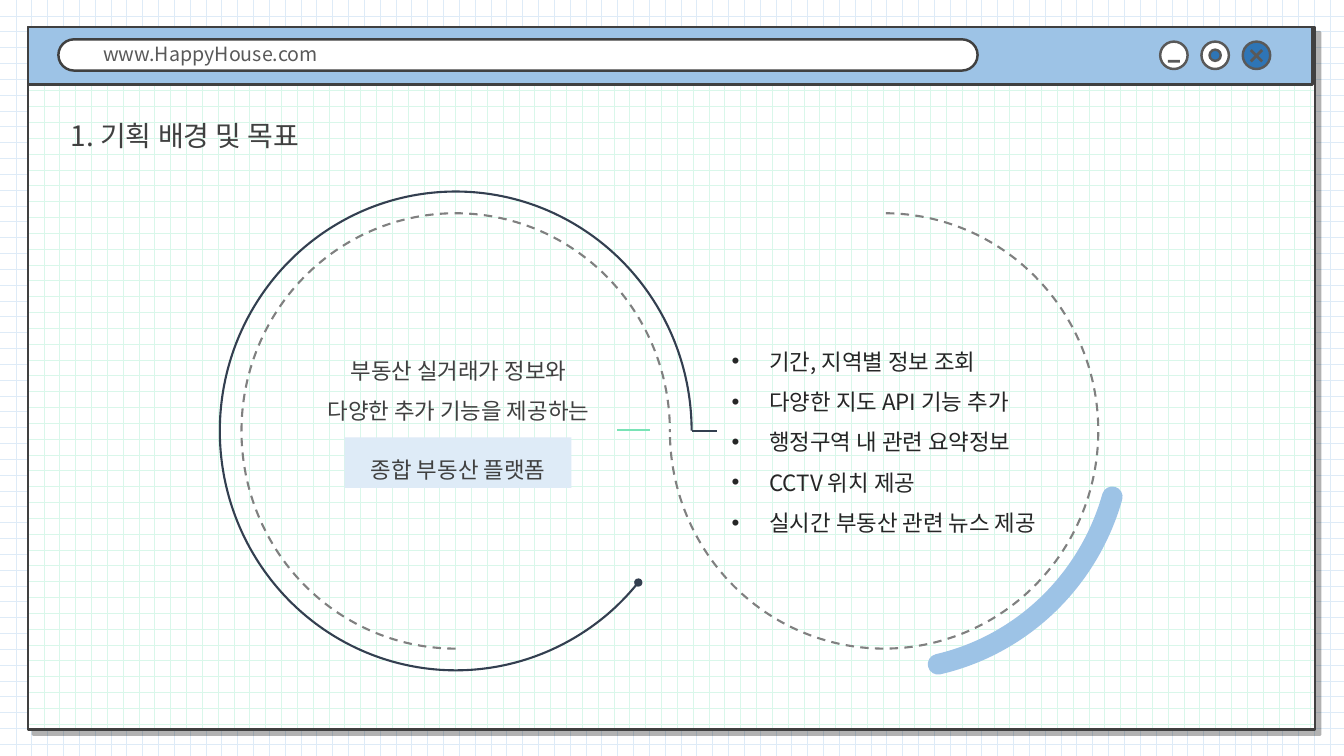
from lxml import etree
from pptx import Presentation
from pptx.dml.color import RGBColor
from pptx.enum.dml import MSO_LINE, MSO_PATTERN
from pptx.enum.shapes import MSO_CONNECTOR, MSO_SHAPE
from pptx.enum.text import MSO_ANCHOR, MSO_AUTO_SIZE, PP_ALIGN
from pptx.oxml.ns import qn
from pptx.util import Pt

RECT, PILL = MSO_SHAPE.RECTANGLE, MSO_SHAPE.ROUNDED_RECTANGLE
OVAL, ARC = MSO_SHAPE.OVAL, MSO_SHAPE.ARC
STRAIGHT = MSO_CONNECTOR.STRAIGHT
DASH, GRID = MSO_LINE.DASH, MSO_PATTERN.DOTTED_GRID
LEFT, CENTER = PP_ALIGN.LEFT, PP_ALIGN.CENTER
TOP, MIDDLE = MSO_ANCHOR.TOP, MSO_ANCHOR.MIDDLE
GROW, FIXED = MSO_AUTO_SIZE.SHAPE_TO_FIT_TEXT, MSO_AUTO_SIZE.NONE
FONT = "Noto Sans CJK KR"
DARK, GRAY, WHITE = "404040", "595959", "FFFFFF"
SKY, PALE, BLUE, NAVY = "9DC3E6", "DEEBF7", "2E75B6", "333F50"


def rgb(color):
    return RGBColor.from_string(color)


def add_xml(parent, tag, **attrs):
    return etree.SubElement(parent, qn(tag), **attrs)


def set_grid(fill, color):
    fill.patterned()
    fill.pattern = GRID
    fill.fore_color.rgb = rgb(color)
    fill.back_color.rgb = rgb(WHITE)


def set_line(line, color, width):
    line.color.rgb = rgb(color)
    line.width = Pt(width)


def add_shape(s, kind, x, y, w, h, fill=None, line=None, width=1.75):
    sp = s.shapes.add_shape(kind, Pt(x), Pt(y), Pt(w), Pt(h))
    sp.shadow.inherit = False
    if fill:
        sp.fill.solid()
        sp.fill.fore_color.rgb = rgb(fill)
    else:
        sp.fill.background()
    if line:
        set_line(sp.line, line, width)
    else:
        sp.line.fill.background()
    return sp


def add_centered(s, kind, cx, cy, w, h, **style):
    return add_shape(s, kind, cx - w / 2, cy - h / 2, w, h, **style)


def add_line(s, x1, x2, y, color):
    cn = s.shapes.add_connector(STRAIGHT, Pt(x1), Pt(y), Pt(x2), Pt(y))
    set_line(cn.line, color, 1.5)
    add_xml(cn.element.spPr, "a:effectLst")


def add_arc(s, cx, cy, w, h, start, end, color, width):
    sp = add_centered(s, ARC, cx, cy, w, h, line=color, width=width)
    sp.adjustments[0] = start * 0.6
    sp.adjustments[1] = end * 0.6
    return sp


def write(sp, text, size=16, color=DARK, align=LEFT, spacing=1.5,
          anchor=TOP, auto_size=GROW, indent=0, bullet=None):
    tf = sp.text_frame
    tf.word_wrap = True
    tf.auto_size = auto_size
    tf.vertical_anchor = anchor
    tf.text = text
    for p in tf.paragraphs:
        pPr = p._p.get_or_add_pPr()
        if indent:
            pPr.set("marL", str(Pt(indent)))
        if bullet:
            pPr.set("indent", str(-Pt(indent)))
            add_xml(pPr, "a:buFont", typeface="Arial")
            add_xml(pPr, "a:buChar", char=bullet)
        p.alignment = align
        p.line_spacing = spacing
        p.space_before = Pt(0)
        for r in p.runs:
            r.font.size = Pt(size)
            r.font.color.rgb = rgb(color)
            r.font.name = FONT
            add_xml(r.font._element, "a:ea", typeface=FONT)


def add_text(s, x, y, w, h, text, **style):
    write(s.shapes.add_textbox(Pt(x), Pt(y), Pt(w), Pt(h)), text, **style)


def add_browser(s, x, y, w, h):
    window = add_shape(s, RECT, x, y, w, h, line=DARK)
    set_grid(window.fill, "D9F7EA")
    effects = window.element.spPr.find(qn("a:effectLst"))
    shadow = add_xml(effects, "a:outerShdw", blurRad="0", dist=str(Pt(5)),
                     dir="2700000", algn="tl", rotWithShape="0")
    black = add_xml(shadow, "a:srgbClr", val="000000")
    add_xml(black, "a:alpha", val="30000")

    add_shape(s, RECT, x, y, w - 2, 41, fill=SKY, line=DARK)
    address = add_shape(s, PILL, x + 21.7, y + 8.6, 656.6, 22.3, fill=WHITE, line=DARK)
    address.adjustments[0] = 0.5
    address.text_frame.margin_bottom = Pt(5.8)
    write(address, "www.HappyHouse.com", size=14, color=GRAY, spacing=1,
          anchor=MIDDLE, auto_size=FIXED, indent=21.6)

    cy = y + 20
    minimize, maximize, close = [x + 818.5 + 29.5 * i for i in range(3)]
    for cx, fill in ((minimize, WHITE), (maximize, WHITE), (close, BLUE)):
        add_centered(s, OVAL, cx, cy, 19.6, 19.6, fill=fill, line=GRAY)
    add_centered(s, OVAL, maximize, cy, 8, 8, fill=BLUE, line=GRAY)
    add_centered(s, RECT, minimize, cy + 4.2, 8.6, 2, fill=GRAY)
    for angle in (45, 315):
        add_centered(s, RECT, close, cy + 0.3, 11.5, 2, fill=GRAY).rotation = angle


def add_title(s, x, y, w, h):
    title = s.shapes.title
    title.left, title.top, title.width, title.height = Pt(x), Pt(y), Pt(w), Pt(h)
    title.element.getparent().append(title.element)
    write(title, "1. 기획 배경 및 목표", size=20)


def add_rings(s, x, y, w, h):
    inner_w, inner_h = 306, 311
    outer_w = w - inner_w
    left, cy = x + outer_w / 2, y + h / 2
    right = left + inner_w
    for cx, start, end in ((left, 90, 0.3), (right, 270.5, 180.2)):
        dashed = add_arc(s, cx, cy, inner_w, inner_h, start, end, "808080", 1.5)
        dashed.line.dash_style = DASH
    solid = add_arc(s, left, cy, outer_w, h, 39.7, 359.9, NAVY, 1.5)
    add_xml(solid.line._get_or_add_ln(), "a:headEnd", type="oval")
    add_line(s, left + outer_w / 2, left + 187, cy, NAVY)
    accent = add_arc(s, right + 1, cy, outer_w, h, 16.2, 77.3, SKY, 14.75)
    accent.line._get_or_add_ln().set("cap", "rnd")
    add_line(s, left + 115.5, left + 138.5, cy - 0.5, "79E3B6")


def add_summary(s, x, y, w, h):
    add_text(s, x, y, w, 65.5, "부동산 실거래가 정보와\n다양한 추가 기능을 제공하는",
             align=CENTER)
    highlight = add_shape(s, RECT, x + 56.2, y + h - 36, 162, 36, fill=PALE)
    write(highlight, "종합 부동산 플랫폼", align=CENTER)


def add_features(s, x, y, w, h):
    features = ["기간, 지역별 정보 조회", "다양한 지도 API 기능 추가",
                "행정구역 내 관련 요약정보", "CCTV 위치 제공",
                "실시간 부동산 관련 뉴스 제공"]
    add_text(s, x, y, w, h, "\n".join(features), color="262626",
             indent=27, bullet="•")


def main():
    prs = Presentation()
    prs.slide_width, prs.slide_height = Pt(960), Pt(540)
    s = prs.slides.add_slide(prs.slide_layouts[5])
    set_grid(s.background.fill, PALE)
    add_browser(s, 20, 19.5, 919.5, 501.8)
    add_title(s, 43.2, 69.1, 235.4, 38.9)
    add_rings(s, 157, 136.8, 643, 342)
    add_summary(s, 190, 241.9, 275, 106.6)
    add_features(s, 515.5, 235.4, 264.2, 158.4)
    prs.save("out.pptx")


if __name__ == "__main__":
    main()
